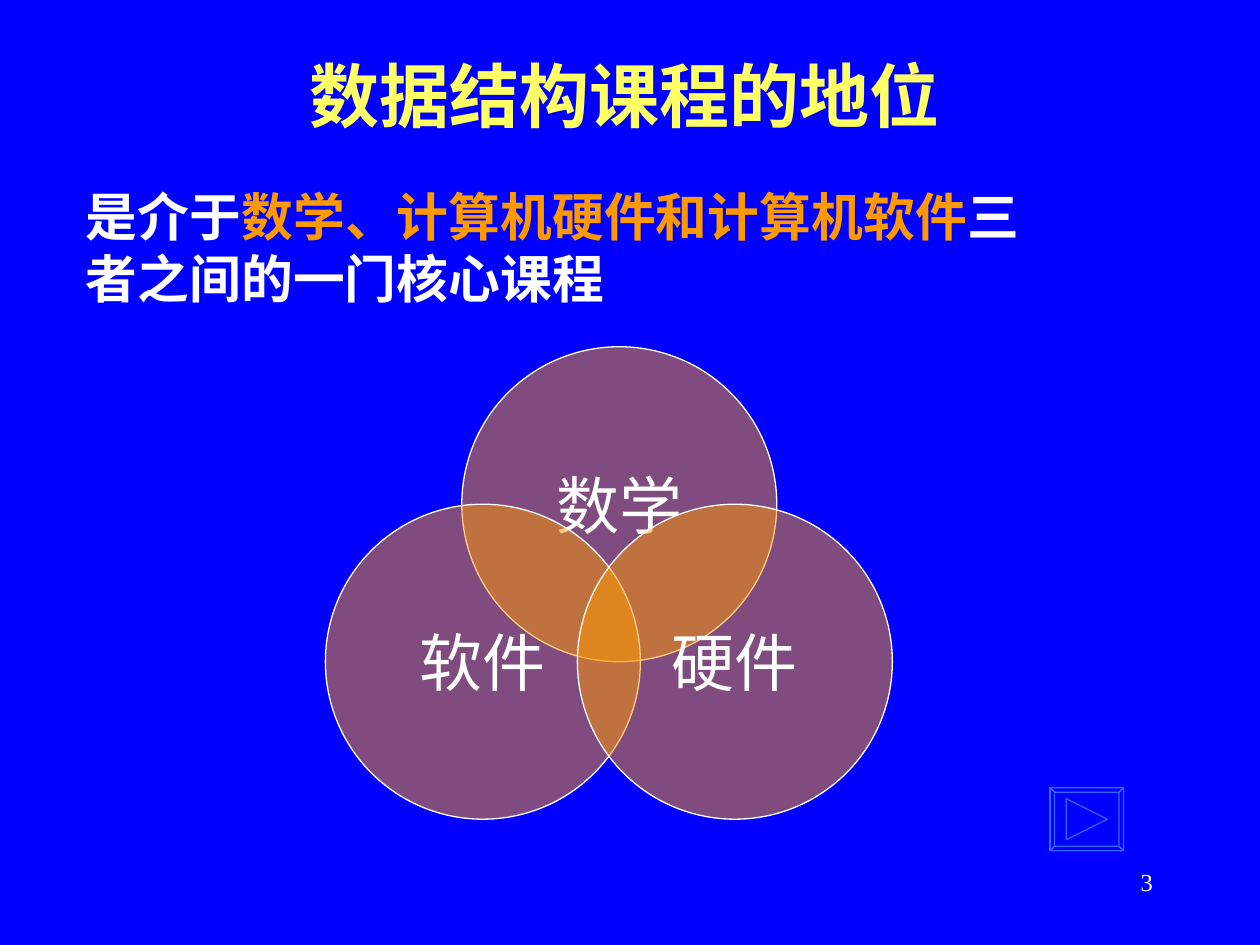
from dataclasses import dataclass

from pptx import Presentation
from pptx.dml.color import RGBColor
from pptx.enum.shapes import MSO_SHAPE
from pptx.enum.text import MSO_ANCHOR, PP_ALIGN
from pptx.oxml.xmlchemy import OxmlElement
from pptx.util import Cm, Pt

OVAL = MSO_SHAPE.OVAL
TOP, MIDDLE = MSO_ANCHOR.TOP, MSO_ANCHOR.MIDDLE
LEFT, CENTER, RIGHT = PP_ALIGN.LEFT, PP_ALIGN.CENTER, PP_ALIGN.RIGHT


@dataclass(frozen=True)
class Theme:
    background: RGBColor = RGBColor(0x00, 0x00, 0xFF)
    text: RGBColor = RGBColor(0xFF, 0xFF, 0xFF)
    title: RGBColor = RGBColor(0xFF, 0xFF, 0x66)
    accent: RGBColor = RGBColor(0xFF, 0x99, 0x00)
    button: RGBColor = RGBColor(0x33, 0x66, 0xFF)
    font: str = "Times New Roman"
    circle_font: str = "Arial Narrow"
    title_size: float = 40
    body_size: float = 29.6
    circle_size: float = 36
    number_size: float = 14
    line_width: float = 0.75
    circle_opacity: int = 50


THEME = Theme()


def write_text(shape, *parts, size, font=THEME.font, bold=False,
               align=LEFT, anchor=TOP, wrap=True):
    frame = shape.text_frame
    frame.word_wrap = wrap
    frame.vertical_anchor = anchor
    paragraph = frame.paragraphs[0]
    paragraph.alignment = align
    for text, color in parts:
        run = paragraph.add_run()
        run.text = text
        run.font.name = font
        run.font.size = Pt(size)
        run.font.bold = bold
        run.font.color.rgb = color


def add_text(slide, left, top, width, height, *parts, **text_format):
    box = slide.shapes.add_textbox(Cm(left), Cm(top), Cm(width), Cm(height))
    write_text(box, *parts, **text_format)


def set_line(shape, color):
    shape.shadow.inherit = False
    shape.line.color.rgb = color
    shape.line.width = Pt(THEME.line_width)


def add_circle(group, left, top, diameter, label):
    circle = group.shapes.add_shape(
        OVAL, Cm(left), Cm(top), Cm(diameter), Cm(diameter))
    set_line(circle, THEME.text)
    circle.fill.solid()
    circle.fill.fore_color.rgb = THEME.accent
    alpha = OxmlElement("a:alpha")
    alpha.set("val", str(THEME.circle_opacity * 1000))
    circle.fill._xPr.find(".//{*}srgbClr").append(alpha)
    write_text(circle, (label, THEME.text), size=THEME.circle_size,
               font=THEME.circle_font, align=CENTER, anchor=MIDDLE, wrap=False)


def rectangle_corners(left, top, width, height):
    right, bottom = left + width, top + height
    return [(left, top), (right, top), (right, bottom), (left, bottom)]


def add_next_button(slide, left, top, width, height, bevel, arrow):
    outer = rectangle_corners(left, top, width, height)
    inner = rectangle_corners(left + bevel, top + bevel,
                              width - 2 * bevel, height - 2 * bevel)
    middle_x, middle_y = left + width / 2, top + height / 2
    half = arrow / 2
    triangle = [(middle_x - half, middle_y - half), (middle_x + half, middle_y),
                (middle_x - half, middle_y + half)]
    sides = [[outer[i], outer[(i + 1) % 4], inner[(i + 1) % 4], inner[i]]
             for i in range(4)]
    first, *others = [[(Cm(x), Cm(y)) for x, y in outline]
                      for outline in [outer, *sides, triangle]]
    builder = slide.shapes.build_freeform(*first[0])
    builder.add_line_segments(first[1:])
    for outline in others:
        builder.move_to(*outline[0])
        builder.add_line_segments(outline[1:])
    button = builder.convert_to_shape()
    set_line(button, THEME.button)
    button.fill.background()


def main():
    presentation = Presentation()
    presentation.slide_width, presentation.slide_height = Cm(25.4), Cm(19.05)
    slide = presentation.slides.add_slide(presentation.slide_layouts[6])
    slide.background.fill.solid()
    slide.background.fill.fore_color.rgb = THEME.background

    add_text(slide, 18.21, 17.35, 5.28, 1.27, ("3", THEME.text),
             size=THEME.number_size, align=RIGHT)
    add_text(slide, 4.23, 0.85, 16.72, 2.12, ("数据结构课程的地位", THEME.title),
             size=THEME.title_size, bold=True, align=CENTER, anchor=MIDDLE)
    add_text(slide, 1.48, 3.6, 19.9, 2.96,
             ("是介于", THEME.text),
             ("数学、计算机硬件和计算机软件", THEME.accent),
             ("三者之间的一门核心课程", THEME.text),
             size=THEME.body_size, bold=True)
    add_next_button(slide, 21.17, 15.88, 1.48, 1.27, bevel=0.09, arrow=0.83)

    venn = slide.shapes.add_group_shape()
    diameter = 6.35
    top = 6.99
    lower_top = top + diameter / 2
    for label, left, circle_top in [("数学", 9.31, top),
                                    ("软件", 6.56, lower_top),
                                    ("硬件", 11.64, lower_top)]:
        add_circle(venn, left, circle_top, diameter, label)

    presentation.save("out.pptx")


if __name__ == "__main__":
    main()
